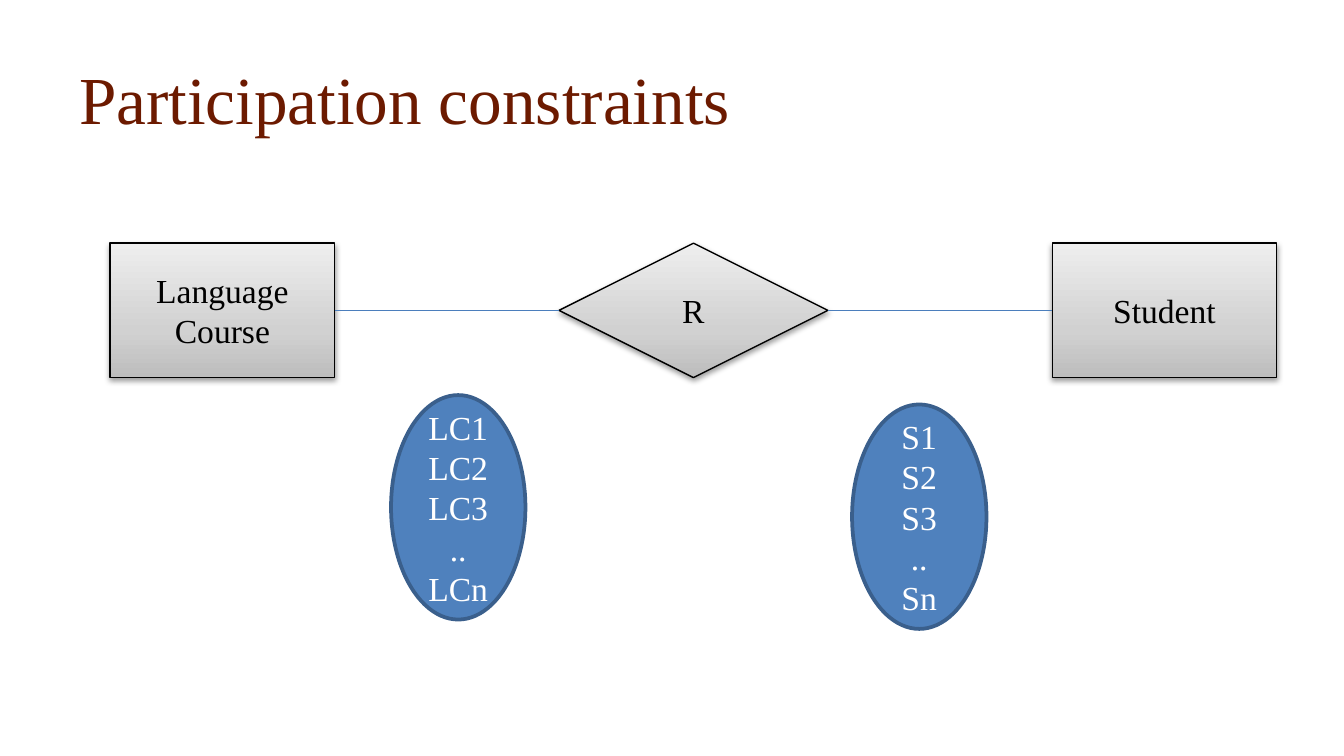
"""Builds the participation constraints slide: two entities joined by a relationship, with their instance sets."""
from lxml import etree
from pptx import Presentation, util as u
from pptx.dml.color import RGBColor
from pptx.enum import shapes, text
from pptx.oxml import parse_xml
from pptx.oxml.ns import nsdecls, qn

TITLE = "Participation constraints"
TITLE_BOX = (0.49, 0.31, 9.02, 0.84)
NODES = [("RECTANGLE", "Language Course", 1.67), ("DIAMOND", "R", 2), ("RECTANGLE", "Student", 1.67)]
SETS = [(2.91, 2.94, ["LC1", "LC2", "LC3", "..", "LCn"]),
        (6.34, 3.01, ["S1", "S2", "S3", "..", "Sn"])]
SLIDE_WIDTH, ASPECT = 10, 16 / 9
LEFT, TOP, HEIGHT, GAP = 0.82, 1.81, 1, 1.67
SET_SIZE = (1, 1.67)
THEME = {
    "font": "Times New Roman", "title_size": 36, "size": 18,
    "title": "6C1A00", "ink": "000000", "light": "FFFFFF",
    "link": "4B7EBC", "set": "4F81BD", "set_line": "3A5F8C",
    "gradient": [(0, "BDBDBD"), (35, "D1D1D1"), (100, "EEEEEE")],
}


def inches(*values):
    return [u.Inches(v) for v in values]


def write(sp, lines, size, color, align):
    tf = sp.text_frame
    tf.word_wrap = True
    tf.vertical_anchor = text.MSO_ANCHOR.MIDDLE
    tf.text = "\n".join(lines)
    for p in tf.paragraphs:
        p.alignment = align
        for r in p.runs:
            for name, value in {"name": THEME["font"], "size": u.Pt(size)}.items():
                setattr(r.font, name, value)
            r.font.color.rgb = RGBColor.from_string(color)


def outline(sp, color, width):
    sp.line.color.rgb = RGBColor.from_string(color)
    sp.line.width = u.Pt(width)


def add_shape(s, kind, box, lines, color, line, width):
    sp = s.shapes.add_shape(getattr(shapes.MSO_SHAPE, kind), *inches(*box))
    sp.shadow.inherit = False
    outline(sp, line, width)
    write(sp, lines, THEME["size"], color, text.PP_ALIGN.CENTER)
    return sp


def shade(sp):
    stops = "".join(f'<a:gs pos="{pos * 1000}"><a:srgbClr val="{c}"/></a:gs>' for pos, c in THEME["gradient"])
    spPr = sp.element.spPr
    spPr.find(qn("a:prstGeom")).addnext(parse_xml(
        f'<a:gradFill {nsdecls("a")} rotWithShape="1"><a:gsLst>{stops}</a:gsLst>'
        '<a:lin ang="16200000" scaled="0"/></a:gradFill>'))
    spPr.find(qn("a:effectLst")).append(parse_xml(
        f'<a:outerShdw {nsdecls("a")} blurRad="{u.Pt(3.1)}" dist="{u.Pt(1.6)}" dir="5400000" rotWithShape="0">'
        f'<a:srgbClr val="{THEME["ink"]}"><a:alpha val="38000"/></a:srgbClr></a:outerShdw>'))


def add_link(s, start, end):
    link = s.shapes.add_connector(shapes.MSO_CONNECTOR.STRAIGHT, 0, 0, 0, 0)
    link.begin_connect(start, 3)
    link.end_connect(end, 1)
    outline(link, THEME["link"], 0.75)
    etree.SubElement(link.element.spPr, qn("a:effectLst"))


def main():
    prs = Presentation()
    prs.slide_width, prs.slide_height = inches(SLIDE_WIDTH, SLIDE_WIDTH / ASPECT)
    s = prs.slides.add_slide(prs.slide_layouts[5])

    title = s.shapes.title
    title.left, title.top, title.width, title.height = inches(*TITLE_BOX)
    write(title, [TITLE], THEME["title_size"], THEME["title"], text.PP_ALIGN.LEFT)

    nodes, x = [], LEFT
    for kind, label, width in NODES:
        sp = add_shape(s, kind, (x, TOP, width, HEIGHT), [label], THEME["ink"], THEME["ink"], 0.75)
        shade(sp)
        nodes.append(sp)
        x += width + GAP
    for start, end in zip(nodes, nodes[1:]):
        add_link(s, start, end)

    for left, top, members in SETS:
        sp = add_shape(s, "OVAL", (left, top, *SET_SIZE), members, THEME["light"], THEME["set_line"], 2)
        sp.fill.solid()
        sp.fill.fore_color.rgb = RGBColor.from_string(THEME["set"])

    prs.save("out.pptx")


if __name__ == "__main__":
    main()
